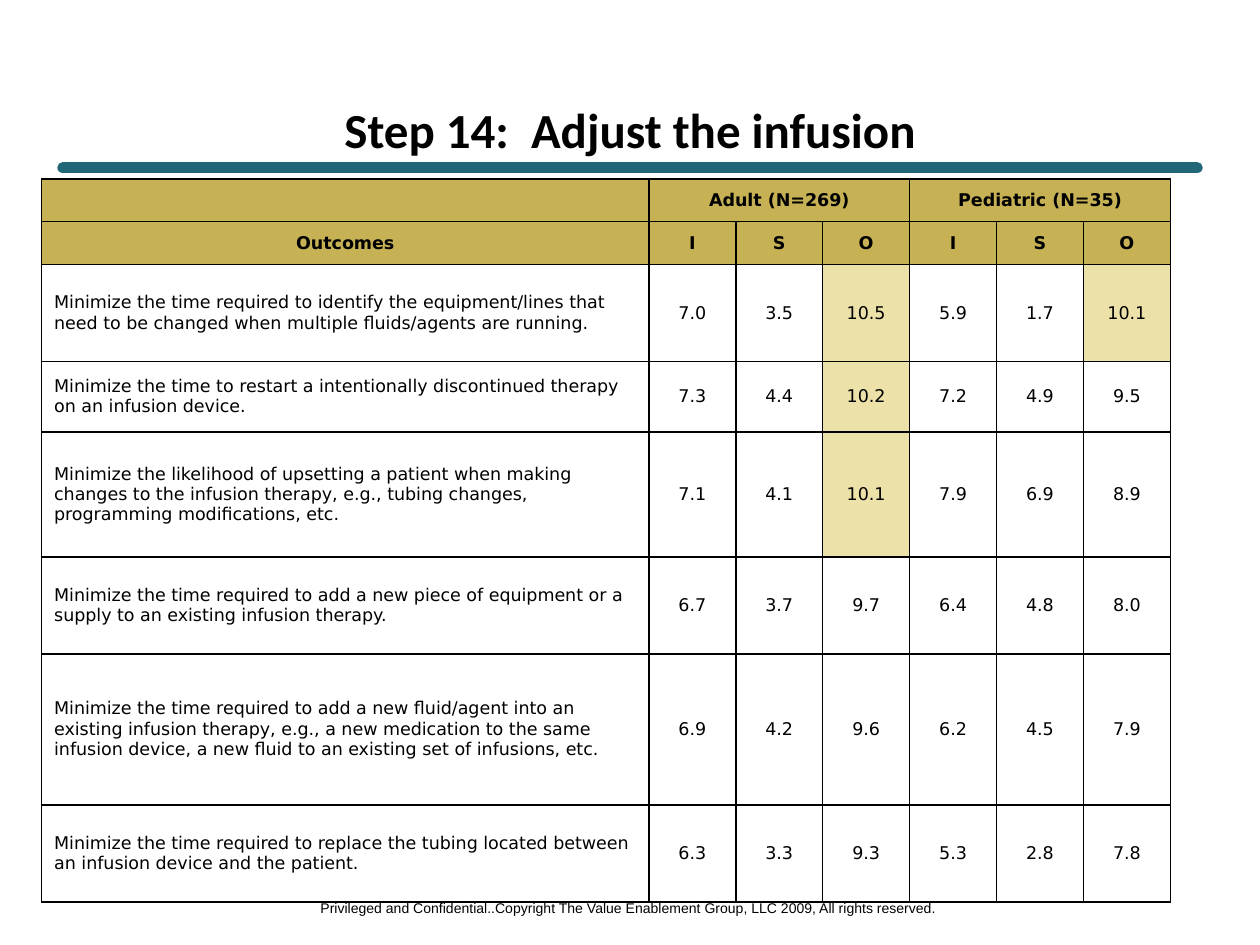
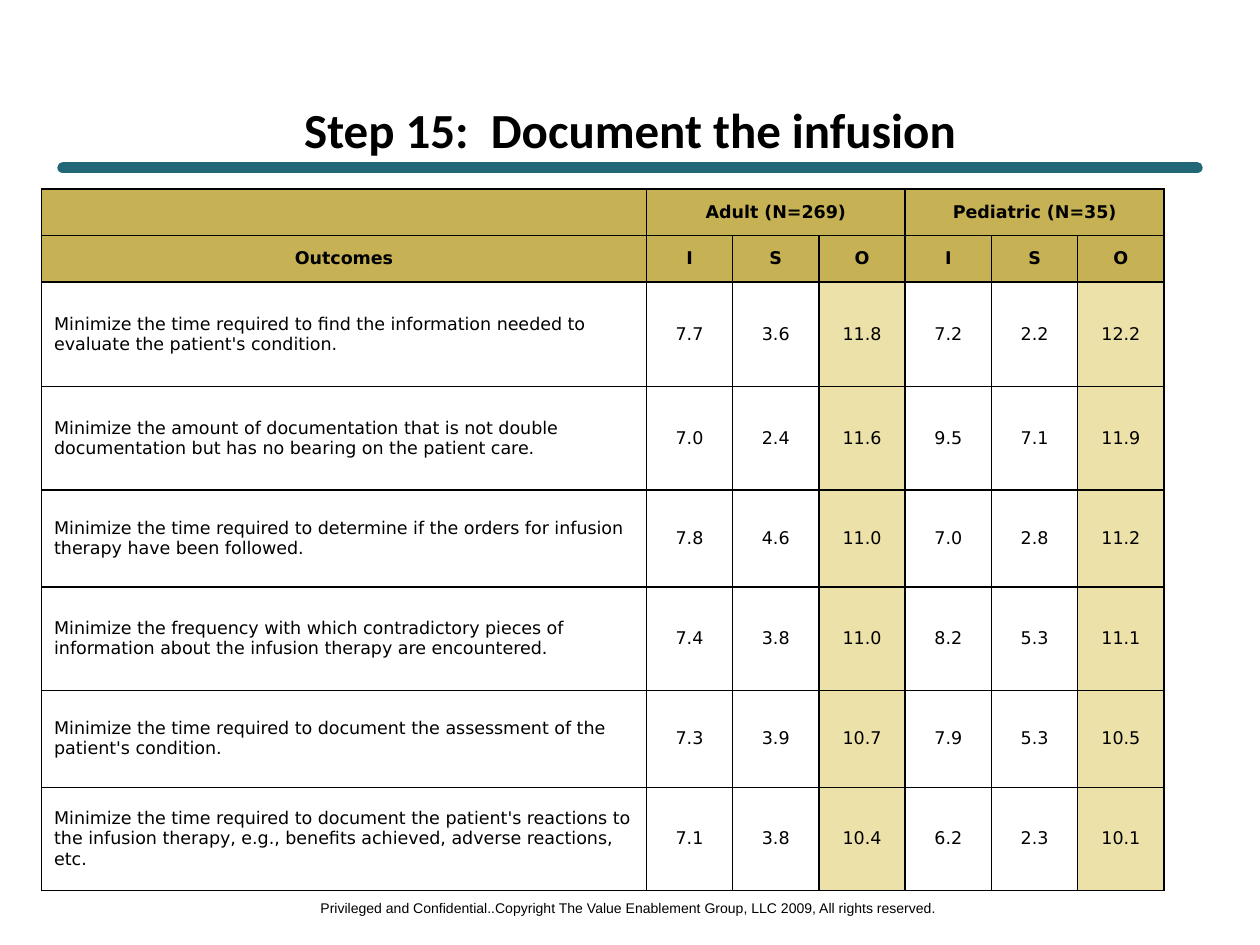
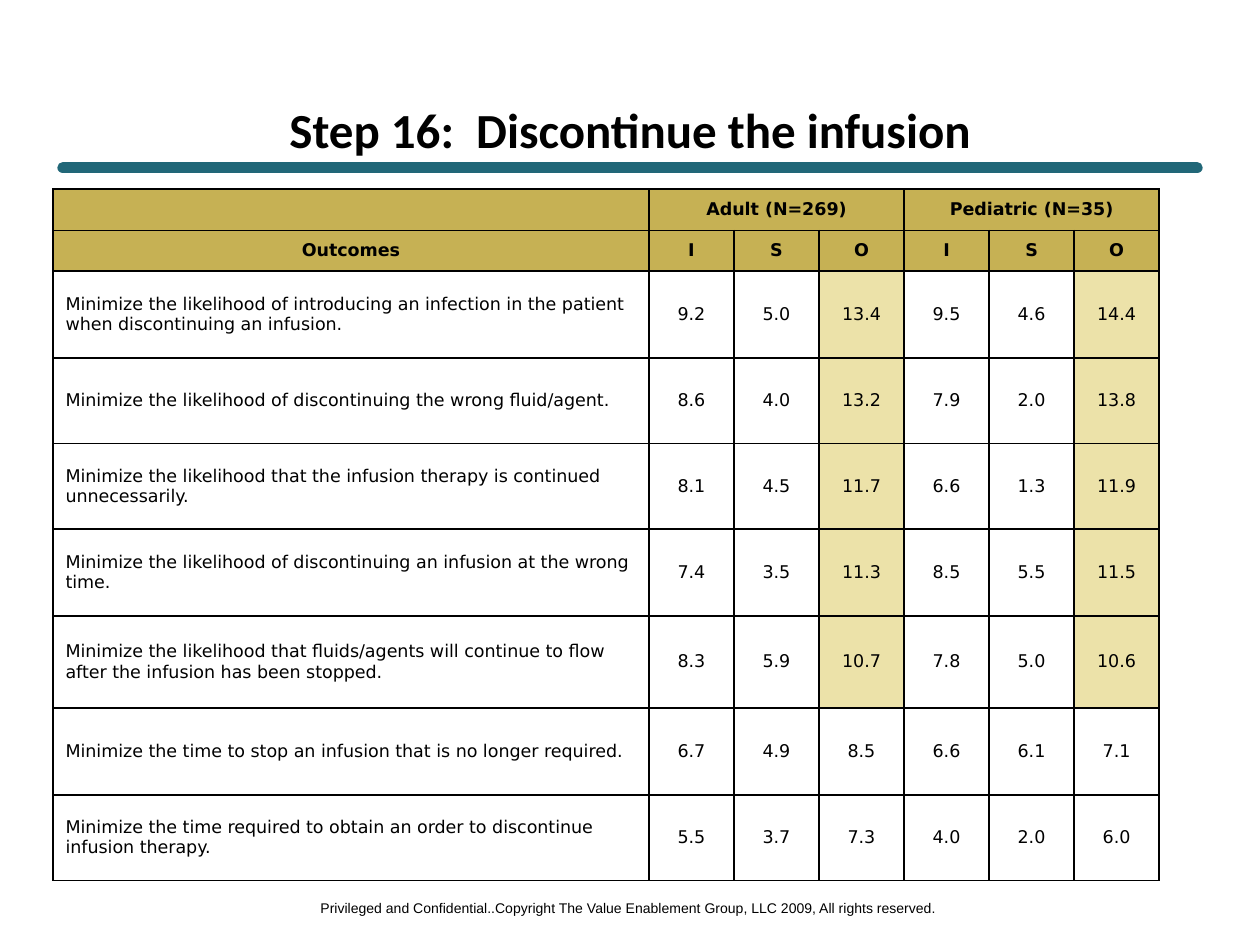
from dataclasses import dataclass

from lxml import etree
from pptx import Presentation
from pptx.dml.color import RGBColor
from pptx.enum import text
from pptx.oxml import ns
from pptx.util import Inches, Pt


@dataclass(frozen=True)
class Theme:
    ink: str = "000000"
    paper: str = "FFFFFF"
    bar: str = "216778"
    head: str = "C6B154"
    mark: str = "ECE2A9"
    title: tuple = ("Calibri", 28)
    body: tuple = ("DejaVu Sans", 10)
    foot: tuple = ("Arial", 8)
    rule: float = 6.5
    grid: float = 1


THEME = Theme()
LIMIT = 10
FOOTER = "Privileged and Confidential..Copyright The Value Enablement Group, LLC 2009, All rights reserved."
GROUPS = ("Adult (N=269)", "Pediatric (N=35)")
SCORES = ("I", "S", "O")

STEPS = [
    {
        "title": "Step 14:  Adjust the infusion",
        "box": (0.33, 1.42, 8.96),
        "first": 4.82,
        "head": (0.34, 0.34),
        "rows": [
            (0.77, "Minimize the time required to identify the equipment/lines that need to be changed when multiple fluids/agents are running.", "7.0 3.5 10.5 5.9 1.7 10.1"),
            (0.56, "Minimize the time to restart a intentionally discontinued therapy on an infusion device.", "7.3 4.4 10.2 7.2 4.9 9.5"),
            (0.99, "Minimize the likelihood of upsetting a patient when making changes to the infusion therapy, e.g., tubing changes, programming modifications, etc.", "7.1 4.1 10.1 7.9 6.9 8.9"),
            (0.77, "Minimize the time required to add a new piece of equipment or a supply to an existing infusion therapy.", "6.7 3.7 9.7 6.4 4.8 8.0"),
            (1.2, "Minimize the time required to add a new fluid/agent into an existing infusion therapy, e.g., a new medication to the same infusion device, a new fluid to an existing set of infusions, etc.", "6.9 4.2 9.6 6.2 4.5 7.9"),
            (0.77, "Minimize the time required to replace the tubing located between an infusion device and the patient.", "6.3 3.3 9.3 5.3 2.8 7.8"),
        ],
    },
    {
        "title": "Step 15:  Document the infusion",
        "box": (0.33, 1.5, 8.91),
        "first": 4.8,
        "head": (0.37, 0.37),
        "rows": [
            (0.83, "Minimize the time required to find the information needed to evaluate the patient's condition.", "7.7 3.6 11.8 7.2 2.2 12.2"),
            (0.82, "Minimize the amount of documentation that is not double documentation but has no bearing on the patient care.", "7.0 2.4 11.6 9.5 7.1 11.9"),
            (0.77, "Minimize the time required to determine if the orders for infusion therapy have been followed.", "7.8 4.6 11.0 7.0 2.8 11.2"),
            (0.82, "Minimize the frequency with which contradictory pieces of information about the infusion therapy are encountered.", "7.4 3.8 11.0 8.2 5.3 11.1"),
            (0.77, "Minimize the time required to document the assessment of the patient's condition.", "7.3 3.9 10.7 7.9 5.3 10.5"),
            (0.82, "Minimize the time required to document the patient's reactions to the infusion therapy, e.g., benefits achieved, adverse reactions, etc.", "7.1 3.8 10.4 6.2 2.3 10.1"),
        ],
    },
    {
        "title": "Step 16:  Discontinue the infusion",
        "box": (0.42, 1.5, 8.78),
        "first": 4.73,
        "head": (0.33, 0.32),
        "rows": [
            (0.69, "Minimize the likelihood of introducing an infection in the patient when discontinuing an infusion.", "9.2 5.0 13.4 9.5 4.6 14.4"),
            (0.68, "Minimize the likelihood of discontinuing the wrong fluid/agent.", "8.6 4.0 13.2 7.9 2.0 13.8"),
            (0.68, "Minimize the likelihood that the infusion therapy is continued unnecessarily.", "8.1 4.5 11.7 6.6 1.3 11.9"),
            (0.69, "Minimize the likelihood of discontinuing an infusion at the wrong time.", "7.4 3.5 11.3 8.5 5.5 11.5"),
            (0.73, "Minimize the likelihood that fluids/agents will continue to flow after the infusion has been stopped.", "8.3 5.9 10.7 7.8 5.0 10.6"),
            (0.69, "Minimize the time to stop an infusion that is no longer required.", "6.7 4.9 8.5 6.6 6.1 7.1"),
            (0.68, "Minimize the time required to obtain an order to discontinue infusion therapy.", "5.5 3.7 7.3 4.0 2.0 6.0"),
        ],
    },
]


def color(code):
    return RGBColor.from_string(code)


def write(frame, words, style, bold=False, center=True):
    para = frame.paragraphs[0]
    para.alignment = text.PP_ALIGN.CENTER if center else text.PP_ALIGN.LEFT
    name, size = style
    if not words:
        para._p.get_or_add_endParaRPr().set("sz", str(size * 100))
        return
    run = para.add_run()
    run.text = words
    run.font.name = name
    run.font.size = Pt(size)
    run.font.bold = bold
    run.font.color.rgb = color(THEME.ink)


def add_label(slide, box, words, style, bold=False, wrap=True):
    frame = slide.shapes.add_textbox(*map(Inches, box)).text_frame
    frame.word_wrap = wrap
    frame.vertical_anchor = text.MSO_ANCHOR.MIDDLE if wrap else text.MSO_ANCHOR.TOP
    write(frame, words, style, bold)


def add_bar(slide, left, top, width):
    bar = slide.shapes.add_connector(1, *map(Inches, (left, top, left + width, top)))
    bar.line.color.rgb = color(THEME.bar)
    bar.line.width = Pt(THEME.rule)
    bar.line._get_or_add_ln().set("cap", "rnd")
    etree.SubElement(bar._element.spPr, ns.qn("a:effectLst"))


def add_frame(slide, title):
    add_bar(slide, 0.5, 1.33, 9)
    add_label(slide, (2.41, 7.09, 5.16, 0.24), FOOTER, THEME.foot, wrap=False)
    add_label(slide, (0.5, 0.83, 9, 0.38), title, THEME.title, bold=True)


def add_edges(cell):
    props = cell._tc.get_or_add_tcPr()
    for side in ("lnL", "lnR", "lnT", "lnB"):
        edge = etree.SubElement(props, ns.qn(f"a:{side}"), w=str(Pt(THEME.grid)))
        fill = etree.SubElement(edge, ns.qn("a:solidFill"))
        etree.SubElement(fill, ns.qn("a:srgbClr"), val=THEME.ink)


def fill_cell(cell, words, fill, bold, center):
    add_edges(cell)
    cell.fill.solid()
    cell.fill.fore_color.rgb = color(fill)
    cell.vertical_anchor = text.MSO_ANCHOR.MIDDLE
    write(cell.text_frame, words, THEME.body, bold, center)


def pick_fill(row, col, words):
    if row < 2:
        return THEME.head
    if col and col % len(SCORES) == 0 and float(words) >= LIMIT:
        return THEME.mark
    return THEME.paper


def add_scores(slide, box, first, head, rows):
    left, top, width = box
    span = len(SCORES)
    count = span * len(GROUPS)
    lines = [[""], ["Outcomes", *SCORES * len(GROUPS)]]
    for group in GROUPS:
        lines[0] += [group] + [""] * (span - 1)
    lines += [[goal, *marks.split()] for _, goal, marks in rows]
    highs = [*head, *(high for high, _, _ in rows)]
    place = map(Inches, (left, top, width, sum(highs)))
    table = slide.shapes.add_table(len(lines), count + 1, *place).table
    table.first_row = table.horz_banding = False
    for col, wide in enumerate([first] + [(width - first) / count] * count):
        table.columns[col].width = Inches(wide)
    for row, (high, line) in enumerate(zip(highs, lines)):
        table.rows[row].height = Inches(high)
        for col, words in enumerate(line):
            fill = pick_fill(row, col, words)
            fill_cell(table.cell(row, col), words, fill, row < 2, row < 2 or col > 0)
    for col in range(1, count + 1, span):
        table.cell(0, col).merge(table.cell(0, col + span - 1))


def main():
    deck = Presentation()
    deck.slide_width, deck.slide_height = Inches(10), Inches(7.5)
    for step in STEPS:
        slide = deck.slides.add_slide(deck.slide_layouts[6])
        add_frame(slide, step["title"])
        add_scores(slide, step["box"], step["first"], step["head"], step["rows"])
    deck.save("out.pptx")


if __name__ == "__main__":
    main()
